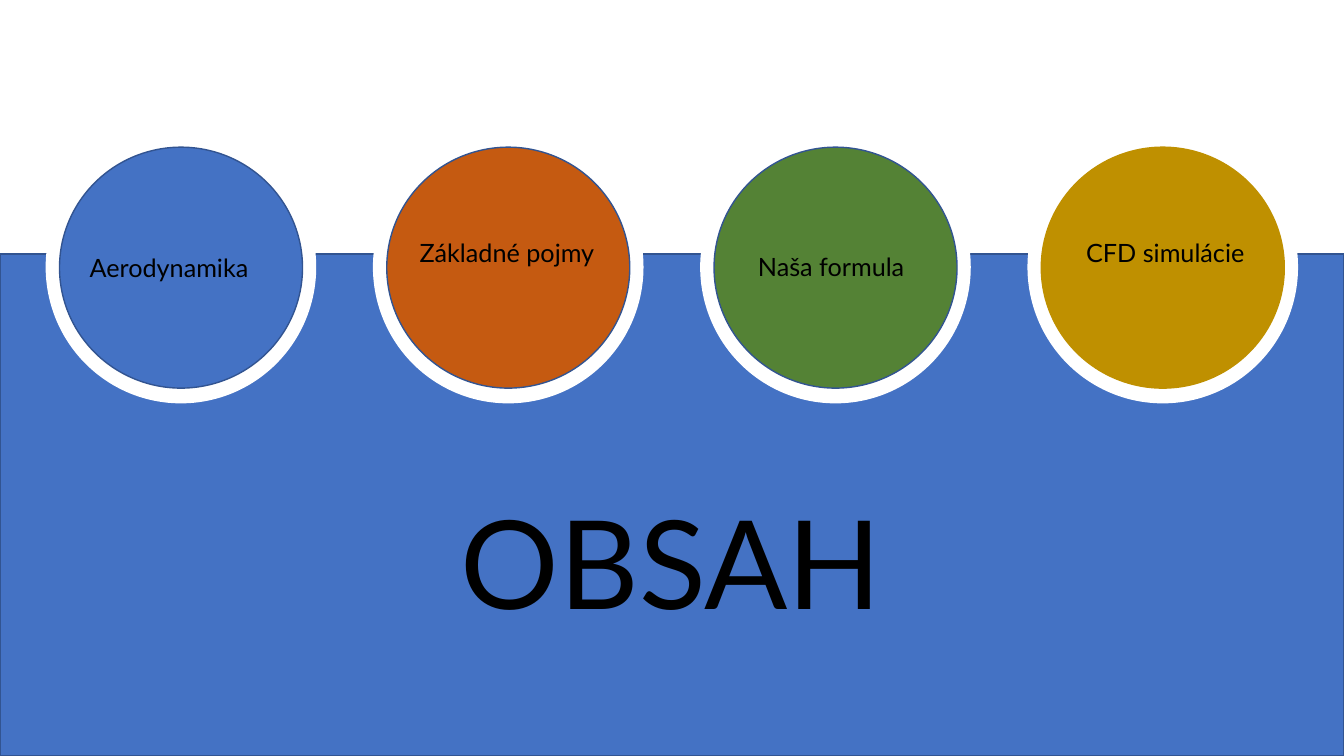
from pptx import Presentation, util as u
from pptx.dml.color import RGBColor
from pptx.enum import shapes, text

COLORS = {
    "blue": "4472C4",
    "navy": "325491",
    "orange": "C55A11",
    "green": "548235",
    "gold": "BF9000",
    "white": "FFFFFF",
    "black": "000000",
}
FONT = "Lato"
COLUMN = 24.35  # distance between topics, in percent of the slide width

# label, disc fill, disc outline, label box (left, top, width, height), alignment
TOPICS = [
    ("Aerodynamika", "blue", "navy", (5.93, 32.67, 15.98, 5.33), "LEFT"),
    ("Základné pojmy", "orange", "navy", (30.45, 30.67, 14.55, 9.47), "CENTER"),
    ("Naša formula", "green", "navy", (54.3, 32.53, 15.08, 5.33), "CENTER"),
    ("CFD simulácie", "gold", "gold", (79.28, 30.67, 14.85, 9.47), "CENTER"),
]


def color(name):
    return RGBColor.from_string(COLORS[name])


def write(frame, content, size=18, fill="black", align="CENTER"):
    frame.word_wrap = True
    paragraph = frame.paragraphs[0]
    paragraph.alignment = getattr(text.PP_ALIGN, align)
    run = paragraph.add_run()
    run.text = content
    run.font.name = FONT
    run.font.size = u.Pt(size)
    run.font.color.rgb = color(fill)


class Deck:
    """Holds the current slide; boxes are percentages of the slide's size."""

    def __init__(self):
        self.presentation = Presentation()
        self.presentation.slide_width = u.Inches(13.33)
        self.presentation.slide_height = u.Inches(7.5)
        self.slide = self.presentation.slides.add_slide(self.presentation.slide_layouts[6])

    def place(self, box):
        sides = (self.presentation.slide_width, self.presentation.slide_height) * 2
        return [round(share * side / 100) for share, side in zip(box, sides)]

    def shape(self, kind, box, fill, line):
        shape = self.slide.shapes.add_shape(kind, *self.place(box))
        shape.shadow.inherit = False
        shape.fill.solid()
        shape.fill.fore_color.rgb = color(fill)
        shape.line.color.rgb = color(line)
        shape.line.width = u.Pt(1)

    def band(self, box, fill, line):
        self.shape(shapes.MSO_SHAPE.RECTANGLE, box, fill, line)

    def circle(self, box, fill, line):
        self.shape(shapes.MSO_SHAPE.OVAL, box, fill, line)

    def label(self, box, content, **style):
        write(self.slide.shapes.add_textbox(*self.place(box)).text_frame, content, **style)


def main():
    deck = Deck()
    deck.band((0, 33.6, 100, 66.4), "blue", "navy")
    for index, (name, fill, line, label_box, align) in enumerate(TOPICS):
        offset = index * COLUMN
        deck.circle((3.45 + offset, 17.4, 20.03, 35.87), "white", "white")
        deck.circle((4.43 + offset, 19.47, 18.08, 31.87), fill, line)
        deck.label(label_box, name, align=align)
    deck.label((26.85, 63.73, 46.2, 21.07), "OBSAH", size=88)
    deck.presentation.save("out.pptx")


if __name__ == "__main__":
    main()
